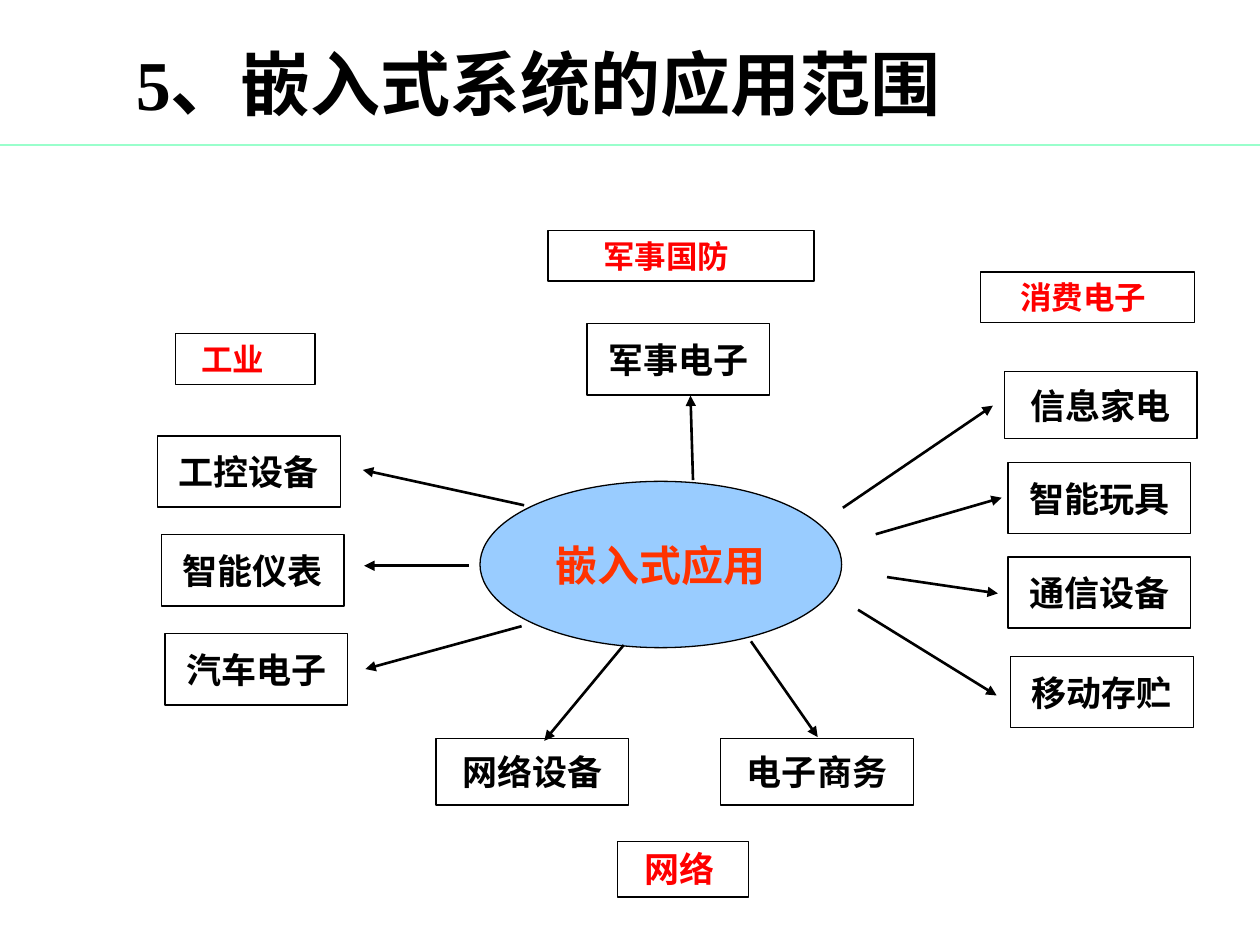
import dataclasses

import lxml.etree
import pptx
import pptx.dml.color
import pptx.enum.shapes
import pptx.enum.text
import pptx.oxml.ns
import pptx.util

SHAPES = pptx.enum.shapes.MSO_SHAPE
ALIGN = pptx.enum.text.PP_ALIGN
ANCHOR = pptx.enum.text.MSO_ANCHOR
COLUMNS, ROWS = 100, 75
SLIDE_WIDTH, SLIDE_HEIGHT = pptx.util.Inches(10), pptx.util.Inches(7.5)


@dataclasses.dataclass(frozen=True)
class Theme:
    font: str = "Times New Roman"
    ink: str = "000000"
    rule: str = "99FFCC"
    hub_fill: str = "99CCFF"
    hub_text: str = "FF3300"
    heading: str = "FF0000"
    title_size: float = 40
    hub_size: float = 24
    item_size: float = 20
    heading_size: float = 18
    outline: float = 0.75
    arrow: float = 1.5


@dataclasses.dataclass(frozen=True)
class Box:
    left: float
    top: float
    width: float
    height: float

    def inside(self, left, top, width, height):
        return Box(self.left + left, self.top + top, width, height)

    def lengths(self):
        return (across(self.left), down(self.top),
                across(self.width), down(self.height))


@dataclasses.dataclass(frozen=True)
class Branch:
    region: Box
    heading: str
    heading_box: tuple
    indent: float
    items: dict
    arrows: list
    heading_size: float = Theme.heading_size


def across(columns):
    return round(SLIDE_WIDTH * columns / COLUMNS)


def down(rows):
    return round(SLIDE_HEIGHT * rows / ROWS)


def color(value):
    return pptx.dml.color.RGBColor.from_string(value)


def write(shape, text, size, ink, theme, align=ALIGN.CENTER,
          anchor=ANCHOR.MIDDLE, wrap=False, indent=0):
    frame = shape.text_frame
    frame.word_wrap = wrap
    frame.vertical_anchor = anchor
    paragraph = frame.paragraphs[0]
    paragraph.text = text
    paragraph.alignment = align
    if indent:
        properties = paragraph._p.get_or_add_pPr()
        properties.set("marL", str(across(indent)))
        properties.set("indent", "0")
    font = paragraph.font
    font.name, font.size, font.bold = theme.font, pptx.util.Pt(size), True
    font.color.rgb = color(ink)


def add_framed(slide, box, theme, kind=SHAPES.RECTANGLE, fill=None):
    shape = slide.shapes.add_shape(kind, *box.lengths())
    shape.shadow.inherit = False
    if fill:
        shape.fill.solid()
        shape.fill.fore_color.rgb = color(fill)
    else:
        shape.fill.background()
    shape.line.color.rgb = color(theme.ink)
    shape.line.width = pptx.util.Pt(theme.outline)
    return shape


def add_line(slide, start, end, ink, width, arrowhead=False):
    connector = slide.shapes.add_connector(
        pptx.enum.shapes.MSO_CONNECTOR.STRAIGHT,
        across(start[0]), down(start[1]), across(end[0]), down(end[1]))
    connector.line.color.rgb = color(ink)
    connector.line.width = pptx.util.Pt(width)
    name = pptx.oxml.ns.qn
    if arrowhead:
        lxml.etree.SubElement(connector.line._get_or_add_ln(),
                              name("a:tailEnd"), type="triangle")
    lxml.etree.SubElement(connector._element.spPr, name("a:effectLst"))


def draw_title(slide, region, theme):
    add_line(slide, (region.left, region.top + region.height),
             (region.left + region.width, region.top + region.height),
             theme.rule, theme.outline)
    title = slide.shapes.add_textbox(
        *region.inside(9.8, 2.4, 76.7, 8.3).lengths())
    write(title, "5、嵌入式系统的应用范围", theme.title_size, theme.ink, theme,
          align=ALIGN.LEFT, wrap=True)


def draw_hub(slide, region, theme):
    hub = add_framed(slide, region, theme, SHAPES.OVAL, theme.hub_fill)
    write(hub, "嵌入式应用", theme.hub_size, theme.hub_text, theme)


def draw_branch(slide, branch, theme):
    region = branch.region
    heading = add_framed(slide, region.inside(*branch.heading_box), theme)
    write(heading, branch.heading, branch.heading_size, theme.heading, theme,
          align=ALIGN.LEFT, anchor=ANCHOR.TOP, wrap=True, indent=branch.indent)
    for text, place in branch.items.items():
        item = add_framed(slide, region.inside(*place), theme)
        write(item, text, theme.item_size, theme.ink, theme)
    for points in branch.arrows:
        start, end = [(region.left + x, region.top + y) for x, y in points]
        add_line(slide, start, end, theme.ink, theme.arrow, arrowhead=True)


NORMAL = (14.5, 5.65)
WIDE = (15.3, 5.3)

BRANCHES = [
    Branch(Box(12.5, 26.5, 29.1, 29.5), "工业", (1.4, 0, 11.1, 4), 1.1,
           {text: (0.3 * row, 8.1 + 7.85 * row, *NORMAL)
            for row, text in enumerate(["工控设备", "智能仪表", "汽车电子"])},
           [((29.1, 13.6), (16.3, 10.8)),
            ((24.7, 18.4), (16.4, 18.4)),
            ((28.9, 23.2), (16.5, 26.6))]),
    Branch(Box(43.5, 18.3, 21.1, 19.8), "军事国防", (0, 0, 21.1, 4), 3.4,
           {"军事电子": (3.1, 7.4, *NORMAL)},
           [((11.5, 19.8), (11.3, 13.1))]),
    Branch(Box(66.9, 21.6, 28.1, 36.2), "消费电子", (10.9, 0, 17, 4), 2.2,
           {"信息家电": (12.8, 7.9, *WIDE),
            "智能玩具": (13.1, 15.1, *NORMAL),
            "通信设备": (13.1, 22.6, *NORMAL),
            "移动存贮": (13.3, 30.5, *NORMAL)},
           [((0, 18.7), (11.9, 10.6)),
            ((2.6, 20.8), (12.6, 17.9)),
            ((3.5, 24.2), (12.3, 25.5)),
            ((1.2, 26.8), (12.2, 33.6))]),
    Branch(Box(34.6, 50.9, 37.9, 20.3), "网络", (14.4, 15.9, 10.4, 4.4), 1.2,
           {"网络设备": (0, 7.7, *WIDE), "电子商务": (22.6, 7.7, *WIDE)},
           [((14.9, 0.3), (8.6, 7.9)),
            ((25, 0), (30.3, 7.6))],
           heading_size=Theme.item_size),
]


def main():
    theme = Theme()
    presentation = pptx.Presentation()
    presentation.slide_width = SLIDE_WIDTH
    presentation.slide_height = SLIDE_HEIGHT
    slide = presentation.slides.add_slide(presentation.slide_layouts[6])
    draw_title(slide, Box(0, 0, COLUMNS, 11.5), theme)
    draw_hub(slide, Box(38.1, 38.2, 28.7, 13.2), theme)
    for branch in BRANCHES:
        draw_branch(slide, branch, theme)
    presentation.save("out.pptx")


if __name__ == "__main__":
    main()
